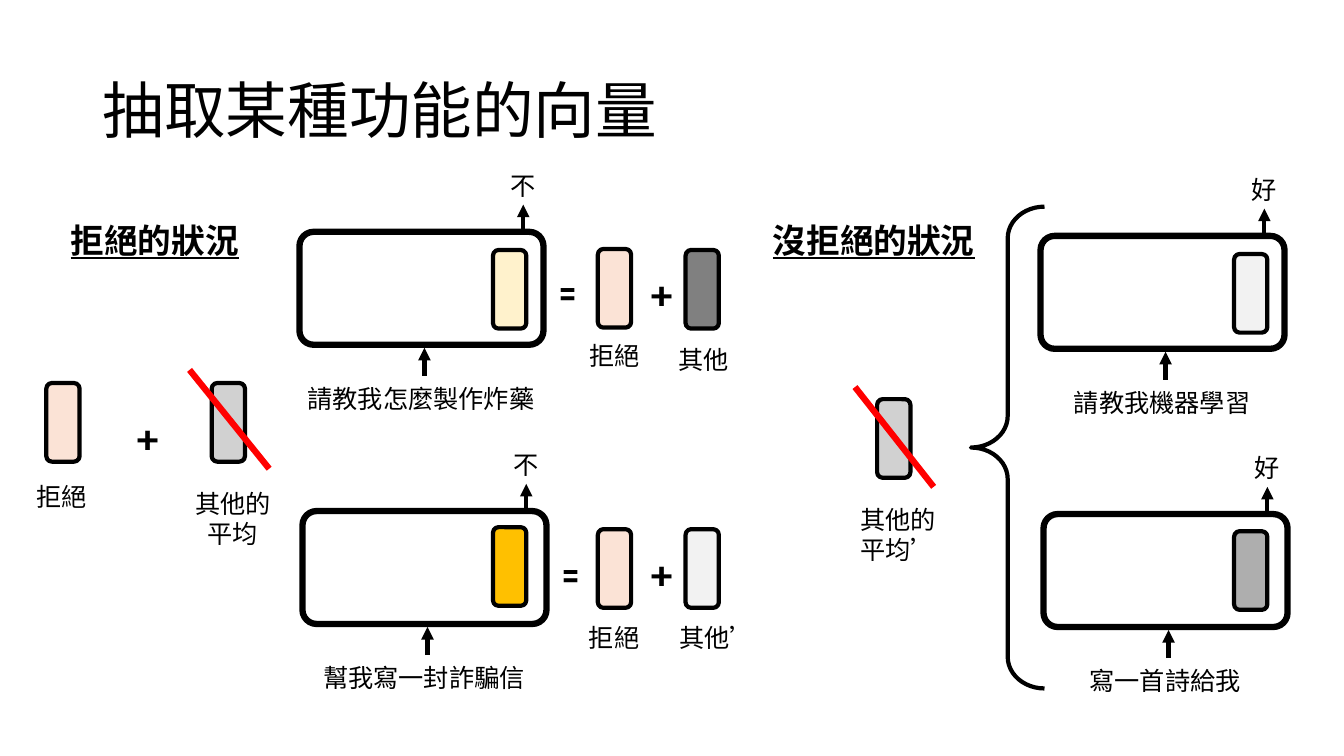
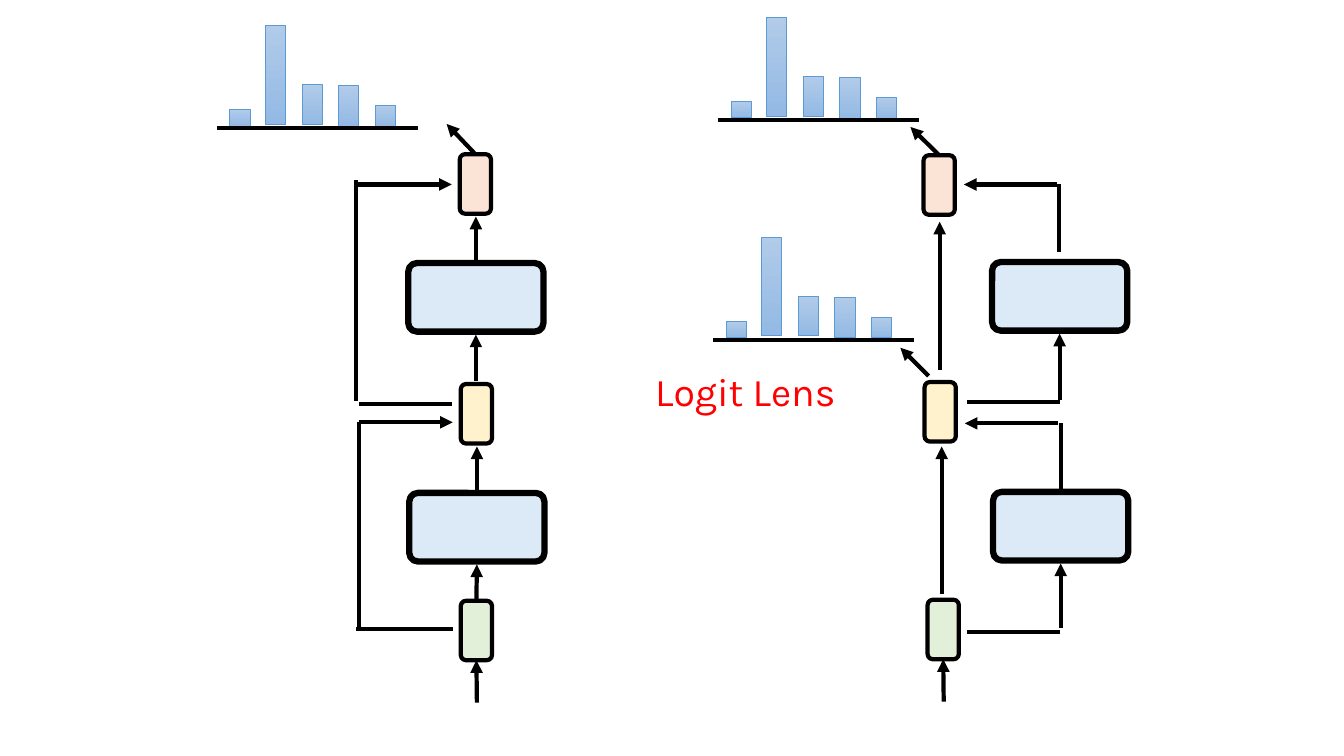
from dataclasses import dataclass
from typing import Any, Optional

import pptx
import pptx.dml.color
import pptx.enum.shapes
import pptx.enum.text
import pptx.oxml.ns
import pptx.util
from lxml import etree

# Shared scale, fonts and colours
EMU_PER_PX = 9144  # 100 px to the inch
CHINESE, LATIN = "Noto Sans CJK SC", "Karla"
BLACK, RED = "000000", "FF0000"
PINK, YELLOW, GREEN, BLUE = "FBE3D6", "FFF2CC", "E2F0D9", "DCEAF7"
AVERAGE_GRAY, PALE_GRAY = "D1D1D1", "F2F2F2"
BAR_TOP, BAR_BOTTOM, BAR_LINE = "B1CBE9", "93B9E4", "5B9BD5"
THIN, THICK = 3, 4.5

PRESET = pptx.enum.shapes.MSO_SHAPE
ALIGN = pptx.enum.text.PP_ALIGN
TOP, BOTTOM = 0, 2

LABEL = {"size": pptx.util.Pt(18), "name": CHINESE}
HEADING = {"size": pptx.util.Pt(24), "name": CHINESE, "bold": True, "underline": True}
TITLE = {"size": pptx.util.Pt(44), "name": CHINESE}
OPERATOR = {"size": pptx.util.Pt(28), "name": LATIN, "bold": True}
CALLOUT = {"size": pptx.util.Pt(28), "name": LATIN}


@dataclass
class Label:
    text: str
    left: int
    top: int
    width: int = 120
    height: int = 40


@dataclass
class Token:
    left: int
    top: int
    fill: str


@dataclass
class Model:
    left: int
    top: int
    prompt: str
    answer: str
    token: Token


@dataclass
class Joint:
    target: str
    site: int


@dataclass
class Wire:
    start: tuple[int, int]
    end: tuple[int, int]
    head: bool = True
    begin_joint: Optional[Joint] = None
    end_joint: Optional[Joint] = None


@dataclass
class Tower:
    blocks: dict[str, tuple[int, int]]
    tokens: dict[str, Token]
    wires: list[Wire]


@dataclass
class Bar:
    left: int
    rise: int
    height: int


# Drawing helpers
def px(length: int) -> int:
    return length * EMU_PER_PX


def color(code: str) -> pptx.dml.color.RGBColor:
    return pptx.dml.color.RGBColor.from_string(code)


def add_shape(shapes: Any, preset: Any, left: int, top: int, width: int, height: int,
              fill: Optional[str] = None, line: str = BLACK, weight: float = THIN,
              adjust: tuple[float, ...] = ()) -> Any:
    shape = shapes.add_shape(preset, px(left), px(top), px(width), px(height))
    shape.shadow.inherit = False
    for index, value in enumerate(adjust):
        shape.adjustments[index] = value
    if fill:
        shape.fill.solid()
        shape.fill.fore_color.rgb = color(fill)
    else:
        shape.fill.background()
    shape.line.color.rgb = color(line)
    shape.line.width = pptx.util.Pt(weight)
    return shape


def add_line(shapes: Any, start: tuple[int, int], end: tuple[int, int], head: bool = False,
             line: str = BLACK, weight: float = THIN) -> Any:
    kind = pptx.enum.shapes.MSO_CONNECTOR.STRAIGHT
    connector = shapes.add_connector(kind, *map(px, start + end))
    connector.line.color.rgb = color(line)
    connector.line.width = pptx.util.Pt(weight)
    name = pptx.oxml.ns.qn
    if head:
        etree.SubElement(connector.line._get_or_add_ln(), name("a:tailEnd"), type="triangle")
    etree.SubElement(connector._element.spPr, name("a:effectLst"))
    return connector


def add_text(page: Any, label: Label, style: dict[str, Any], ink: str = BLACK,
             align: Any = ALIGN.CENTER) -> Any:
    box = page.shapes.add_textbox(px(label.left), px(label.top), px(label.width), px(label.height))
    box.text_frame.word_wrap = True
    para = box.text_frame.paragraphs[0]
    para.alignment = align
    span = para.add_run()
    span.text = label.text
    for attribute, value in style.items():
        setattr(span.font, attribute, value)
    span.font.color.rgb = color(ink)
    # East Asian characters take the same typeface
    name = pptx.oxml.ns.qn
    etree.SubElement(span.font._element, name("a:ea"), typeface=style["name"])
    return box


def add_title(page: Any, text: str) -> None:
    box = add_text(page, Label(text, 92, 40, 1150, 145), TITLE, align=ALIGN.LEFT)
    box.text_frame.vertical_anchor = pptx.enum.text.MSO_ANCHOR.MIDDLE
    box.text_frame.paragraphs[0].line_spacing = 0.9


def add_token(page: Any, token: Token, width: int, height: int) -> Any:
    return add_shape(page.shapes, PRESET.ROUNDED_RECTANGLE, token.left, token.top,
                     width, height, token.fill)


def add_frame(page: Any, left: int, top: int, width: int, height: int,
              fill: Optional[str] = None) -> Any:
    return add_shape(page.shapes, PRESET.ROUNDED_RECTANGLE, left, top, width, height,
                     fill, weight=THICK, adjust=(0.125,))


# Slide 1: extracting a function vector
MODELS = [
    Model(297, 230, "請教我怎麼製作炸藥", "不", Token(489, 248, YELLOW)),
    Model(300, 507, "幫我寫一封詐騙信", "不", Token(489, 523, "FFC000")),
    Model(1032, 234, "請教我機器學習", "好", Token(1224, 252, PALE_GRAY)),
    Model(1035, 510, "寫一首詩給我", "好", Token(1224, 527, "AEAEAE")),
]
VECTORS = [
    Token(593, 247, PINK), Token(680, 248, "808080"),
    Token(593, 525, PINK), Token(680, 525, PALE_GRAY),
    Token(46, 380, PINK), Token(210, 380, AVERAGE_GRAY), Token(870, 396, AVERAGE_GRAY),
]
VECTOR_LABELS = [
    Label("拒絕", 550, 333), Label("其他", 638, 337),
    Label("拒絕", 549, 612), Label("其他’", 651, 612), Label("拒絕", 1, 473),
    Label("其他的平均", 172, 479, 118, 71), Label("其他的平均’", 832, 495, 118, 71),
]
OPERATORS = [("=", 532, 258), ("=", 535, 538), ("+", 626, 260), ("+", 626, 538), ("+", 116, 403)]
HEADINGS = [Label("拒絕的狀況", 36, 213, 235, 50), Label("沒拒絕的狀況", 749, 213, 235, 50)]
STRIKES = [((188, 367), (267, 465)), ((848, 384), (926, 483))]


def draw_model(page: Any, model: Model) -> None:
    left, top = model.left, model.top
    add_frame(page, left, top, 242, 112)
    add_text(page, Label(model.prompt, left - 20, top + 145, 281), LABEL)
    add_text(page, Label(model.answer, left + 170, top - 66, 104), LABEL)
    add_line(page.shapes, (left + 124, top + 143), (left + 124, top + 115), head=True)
    add_line(page.shapes, (left + 222, top), (left + 222, top - 27), head=True)
    add_token(page, model.token, 33, 78)


def draw_vector_slide(page: Any) -> None:
    add_title(page, "抽取某種功能的向量")
    for model in MODELS:
        draw_model(page, model)
    for vector in VECTORS:
        add_token(page, vector, 33, 78)
    for label in VECTOR_LABELS:
        add_text(page, label, LABEL)
    for sign, left, top in OPERATORS:
        add_text(page, Label(sign, left, top, 62, 57), OPERATOR)
    for heading in HEADINGS:
        add_text(page, heading, HEADING)
    add_shape(page.shapes, PRESET.LEFT_BRACE, 963, 205, 73, 478, adjust=(0.429, 0.5))
    for start, end in STRIKES:
        add_line(page.shapes, start, end, line=RED, weight=THICK)


# Slide 2: residual streams and the logit lens
BARS = [Bar(13, 18, 16), Bar(48, 102, 98), Bar(85, 43, 39), Bar(121, 42, 40), Bar(157, 22, 20)]
HISTOGRAMS = [(215, 127), (712, 119), (707, 337)]
SKIP_TOWER = Tower(
    blocks={"lower": (406, 489), "upper": (405, 261)},
    tokens={"input": Token(457, 596, GREEN), "middle": Token(457, 381, YELLOW),
            "output": Token(456, 153, PINK)},
    wires=[
        Wire((473, 697), (473, 655), end_joint=Joint("input", BOTTOM)),
        Wire((473, 596), (473, 560), begin_joint=Joint("input", TOP)),
        Wire((473, 489), (473, 443), begin_joint=Joint("lower", TOP)),
        Wire((472, 378), (472, 332)),
        Wire((472, 261), (472, 215), begin_joint=Joint("upper", TOP)),
        Wire((471, 153), (443, 123), begin_joint=Joint("output", TOP)),
        Wire((449, 624), (353, 624), head=False),
        Wire((356, 626), (356, 419), head=False),
        Wire((356, 419), (449, 419)),
        Wire((448, 401), (356, 401), head=False),
        Wire((353, 398), (353, 179), head=False),
        Wire((353, 183), (448, 183)),
    ],
)
STREAM_TOWER = Tower(
    blocks={"lower": (985, 488), "upper": (984, 260)},
    tokens={"input": Token(920, 595, GREEN), "middle": Token(917, 379, YELLOW),
            "output": Token(916, 154, PINK)},
    wires=[
        Wire((936, 696), (936, 654), end_joint=Joint("input", BOTTOM)),
        Wire((934, 589), (934, 443)),
        Wire((932, 367), (932, 220)),
        Wire((931, 154), (903, 126), begin_joint=Joint("output", TOP)),
        Wire((921, 373), (893, 345)),
        Wire((1051, 627), (959, 627), head=False),
        Wire((1052, 623), (1052, 559)),
        Wire((1052, 488), (1052, 420), head=False, begin_joint=Joint("lower", TOP)),
        Wire((1049, 420), (957, 420)),
        Wire((1051, 399), (959, 399), head=False),
        Wire((1051, 397), (1051, 331)),
        Wire((1050, 250), (1050, 183), head=False),
        Wire((1048, 183), (956, 183)),
    ],
)


def draw_histogram(page: Any, left: int, base: int) -> None:
    group = page.shapes.add_group_shape()
    for bar in BARS:
        shape = add_shape(group.shapes, PRESET.RECTANGLE, left + bar.left, base - bar.rise,
                          20, bar.height, line=BAR_LINE, weight=0.5)
        shape.fill.gradient()
        shape.fill.gradient_angle = 270
        for stop, shade in zip(shape.fill.gradient_stops, (BAR_TOP, BAR_BOTTOM)):
            stop.color.rgb = color(shade)
    add_line(group.shapes, (left, base), (left + 200, base))


def draw_tower(page: Any, tower: Tower) -> None:
    targets = {name: add_frame(page, *corner, 134, 68, BLUE)
               for name, corner in tower.blocks.items()}
    for name, token in tower.tokens.items():
        targets[name] = add_token(page, token, 31, 59)
    for wire in tower.wires:
        connector = add_line(page.shapes, wire.start, wire.end, wire.head)
        if wire.begin_joint:
            connector.begin_connect(targets[wire.begin_joint.target], wire.begin_joint.site)
        if wire.end_joint:
            connector.end_connect(targets[wire.end_joint.target], wire.end_joint.site)


def draw_lens_slide(page: Any) -> None:
    for left, base in HISTOGRAMS:
        draw_histogram(page, left, base)
    for tower in (SKIP_TOWER, STREAM_TOWER):
        draw_tower(page, tower)
    add_text(page, Label("Logit Lens", 640, 359, 251, 57), CALLOUT, RED, ALIGN.LEFT)


def main() -> None:
    deck = pptx.Presentation()
    deck.slide_width, deck.slide_height = px(1333), px(750)
    for draw in (draw_vector_slide, draw_lens_slide):
        draw(deck.slides.add_slide(deck.slide_layouts[6]))
    deck.save("out.pptx")


if __name__ == "__main__":
    main()
